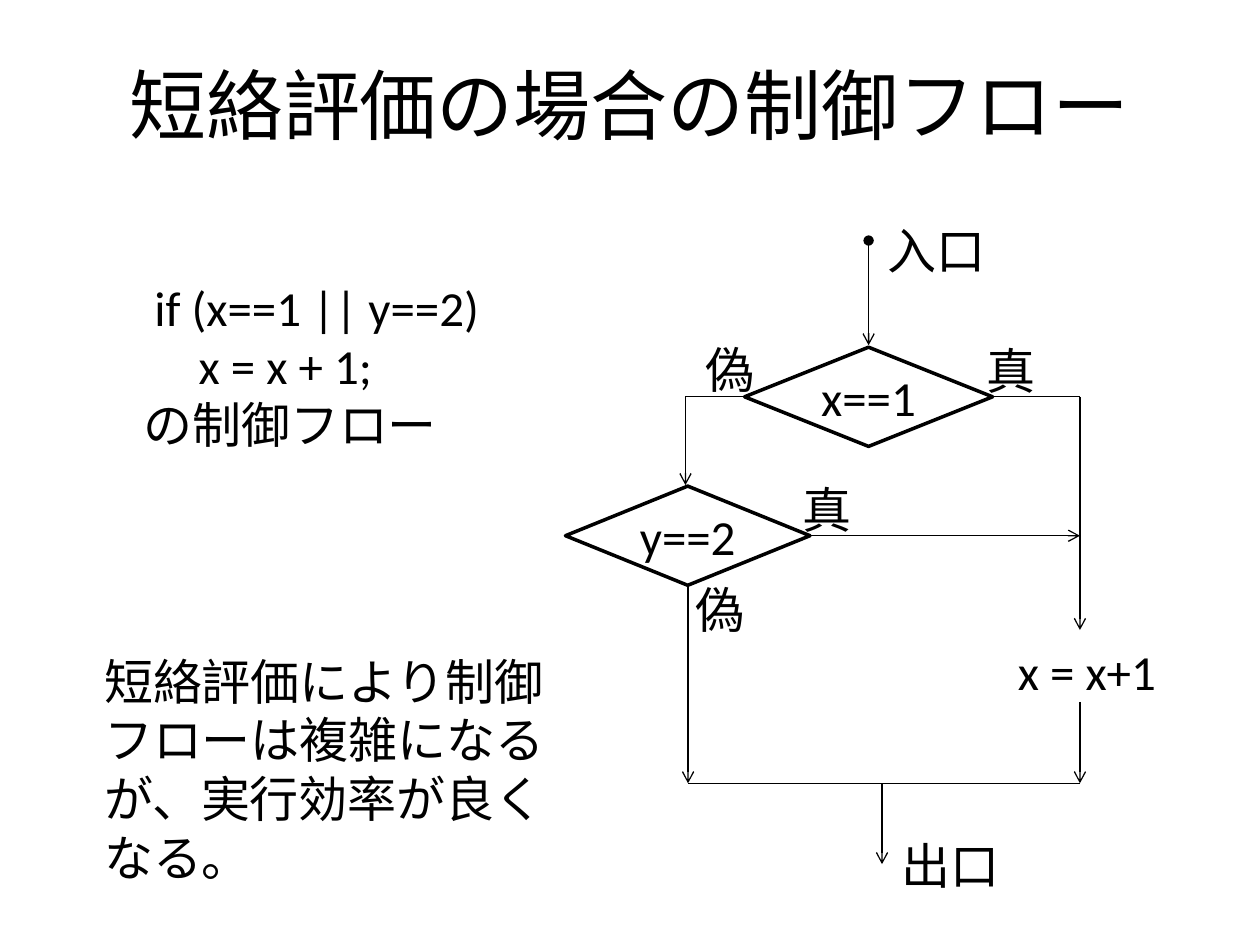
import pptx
import pptx.util
import pptx.dml.color
import pptx.enum.shapes
import pptx.enum.text
import pptx.oxml
import pptx.oxml.ns
from pptx.util import Cm


def tint(code):
    return pptx.dml.color.RGBColor.from_string(code)


class Board:
    font = "Calibri"
    ink = "000000"
    size = 28

    def __init__(self, slide):
        self.slide = slide

    def fill(self, frame, rows, size=None, align=None):
        for i, row in enumerate(rows):
            para = frame.paragraphs[0] if i == 0 else frame.add_paragraph()
            para.alignment = align
            run = para.add_run()
            run.text = row
            run.font.name = self.font
            run.font.size = pptx.util.Pt(size or self.size)
            run.font.color.rgb = tint(self.ink)

    def title(self, text, x, y, w, h):
        box = self.slide.shapes.title
        box.left, box.top, box.width, box.height = Cm(x), Cm(y), Cm(w), Cm(h)
        box.text_frame.vertical_anchor = pptx.enum.text.MSO_ANCHOR.MIDDLE
        self.fill(box.text_frame, [text], 44, pptx.enum.text.PP_ALIGN.CENTER)

    def text(self, rows, x, y, w, h=1.45, wrap=False):
        box = self.slide.shapes.add_textbox(Cm(x), Cm(y), Cm(w), Cm(h))
        box.text_frame.word_wrap = wrap
        self.fill(box.text_frame, rows)

    def test(self, text, x, y, w, h):
        kind = pptx.enum.shapes.MSO_SHAPE.DIAMOND
        box = self.slide.shapes.add_shape(kind, Cm(x), Cm(y), Cm(w), Cm(h))
        box.shadow.inherit = False
        box.fill.background()
        box.line.color.rgb = tint(self.ink)
        box.line.width = pptx.util.Pt(2)
        box.text_frame.word_wrap = False
        box.text_frame.vertical_anchor = pptx.enum.text.MSO_ANCHOR.MIDDLE
        self.fill(box.text_frame, [text], align=pptx.enum.text.PP_ALIGN.CENTER)

    def line(self, x1, y1, x2, y2, head=None, tail="arrow", bent=False):
        kinds = pptx.enum.shapes.MSO_CONNECTOR
        kind = kinds.ELBOW if bent else kinds.STRAIGHT
        link = self.slide.shapes.add_connector(kind, Cm(x1), Cm(y1), Cm(x2), Cm(y2))
        link.line.color.rgb = tint(self.ink)
        link.line.width = pptx.util.Pt(0.75)
        props = link._element.spPr
        if bent:
            props.find(pptx.oxml.ns.qn("a:prstGeom")).set("prst", "bentConnector2")
        stroke = props.find(pptx.oxml.ns.qn("a:ln"))
        space = pptx.oxml.ns.nsdecls("a")
        for tag, end in (("headEnd", head), ("tailEnd", tail)):
            if end:
                stroke.append(pptx.oxml.parse_xml(f'<a:{tag} {space} type="{end}"/>'))
        props.append(pptx.oxml.parse_xml(f"<a:effectLst {space}/>"))


def main():
    deck = pptx.Presentation()
    deck.slide_width, deck.slide_height = Cm(25.4), Cm(19.05)
    board = Board(deck.slides.add_slide(deck.slide_layouts[5]))

    board.title("短絡評価の場合の制御フロー", 1.27, 0.76, 22.86, 2.65)
    board.text([" if (x==1 || y==2)", "     x = x + 1;", "の制御フロー"],
               2.64, 5.46, 7.59, 3.84)
    board.text(["短絡評価により制御フローは複雑になるが、実行効率が良くなる。"],
               1.85, 13, 9.93, 3.84, wrap=True)

    left, right, top, mid, base = 13.87, 21.77, 8, 10.8, 15.79
    board.test("x==1", 15.01, 7, 5, 2)
    board.test("y==2", 11.4, 9.8, 4.93, 2)

    board.line(17.51, 4.85, 17.51, 6.96, head="oval")
    board.line(15.01, top, left - 0.05, 9.78, bent=True)
    board.line(right, top, 20.01, top, tail=None)
    board.line(right, top, right, 12.7)
    board.line(16.33, mid, right, mid)
    board.line(left, 11.8, left, base)
    board.line(right, 14.15, right, base)
    board.line(left, base, right, base, tail=None)
    board.line(17.78, base, 17.78, 17.42)

    for word, x, y, w in (
        ("入口", 17.65, 4.32, 2.51),
        ("出口", 17.93, 16.71, 2.51),
        ("偽", 13.97, 6.71, 1.5),
        ("真", 19.63, 6.73, 1.5),
        ("真", 15.93, 9.55, 1.5),
        ("偽", 13.77, 11.56, 1.5),
        ("x = x+1", 20.27, 12.8, 3.35),
    ):
        board.text([word], x, y, w)

    deck.save("out.pptx")


if __name__ == "__main__":
    main()
